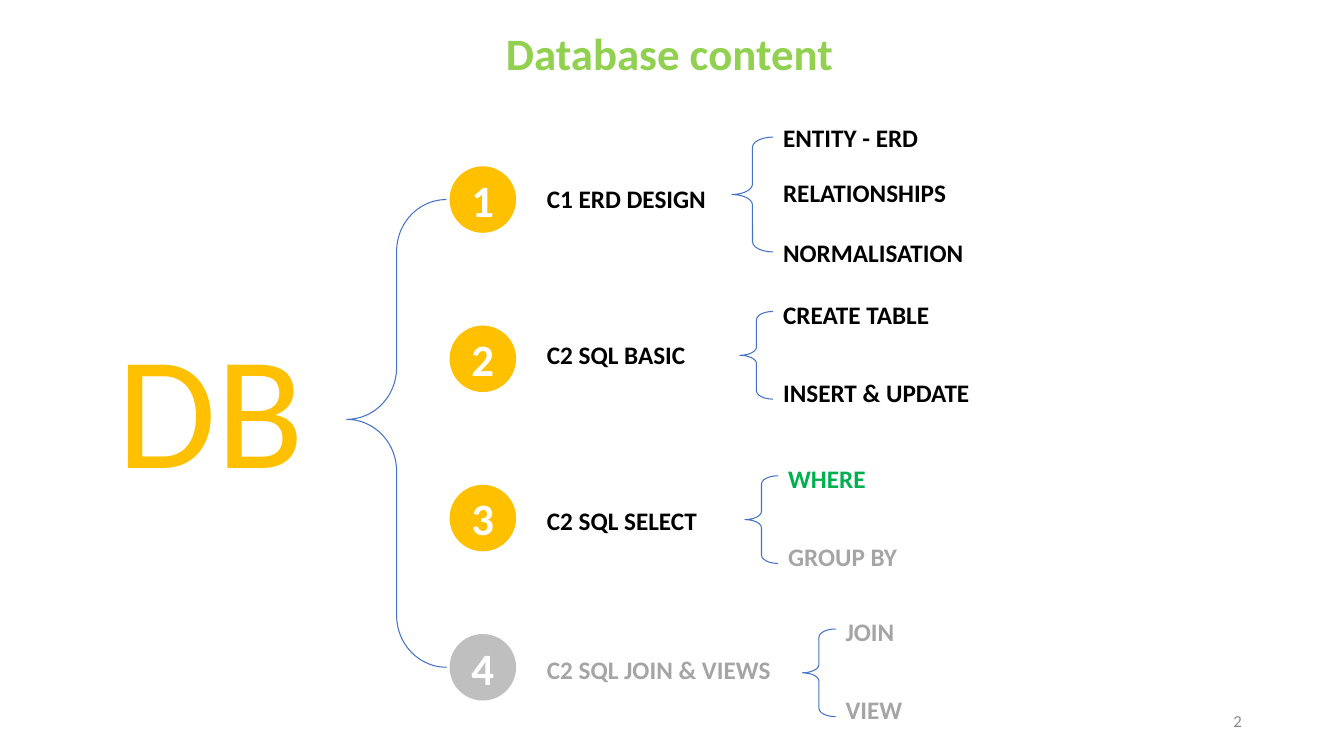
from pptx import Presentation
from pptx.dml.color import RGBColor
from pptx.enum.shapes import MSO_SHAPE
from pptx.enum.text import MSO_ANCHOR, MSO_AUTO_SIZE, PP_ALIGN
from pptx.util import Inches, Pt

WIDTH, HEIGHT = Inches(13.33), Inches(7.5)
COL, ROW = WIDTH / 40, HEIGHT / 30
FONT = "Calibri"
GOLD = RGBColor(0xFF, 0xC0, 0x00)
LIME = RGBColor(0x92, 0xD0, 0x50)
GREEN = RGBColor(0x00, 0xB0, 0x50)
BLUE = RGBColor(0x44, 0x72, 0xC4)
BLACK = RGBColor(0x00, 0x00, 0x00)
WHITE = RGBColor(0xFF, 0xFF, 0xFF)
GREY = RGBColor(0xA5, 0xA5, 0xA5)
SILVER = RGBColor(0xBF, 0xBF, 0xBF)
DIM = RGBColor(0x88, 0x88, 0x88)

BADGE_LEFT = 13.38
BADGE_W, BADGE_H = 1.98, 2.64
LABEL_H = 1.6
TRIO = (1.23, 4.56, (-0.8, 1.4, 3.8))
PAIR = (0.99, 3.48, (-0.68, 2.4))

CHAPTERS = [
    (6.6, GOLD, "C1 ERD DESIGN", BLACK, 0.48, 23.01, 5.44, TRIO,
     [("ENTITY - ERD", BLACK), ("RELATIONSHIPS", BLACK), ("NORMALISATION", BLACK)]),
    (12.92, GOLD, "C2 SQL BASIC", BLACK, 0.36, 23.01, 12.36, PAIR,
     [("CREATE TABLE", BLACK), ("INSERT & UPDATE", BLACK)]),
    (19.24, GOLD, "C2 SQL SELECT", BLACK, 0.6, 23.16, 18.88, PAIR,
     [("WHERE", GREEN), ("GROUP BY", GREY)]),
    (25.16, SILVER, "C2 SQL JOIN & VIEWS", GREY, 0.6, 24.87, 24.96, PAIR,
     [("JOIN", GREY), ("VIEW", GREY)]),
]


def grid(left, top, width, height):
    return int(left * COL), int(top * ROW), int(width * COL), int(height * ROW)


def write(sp, text, size, color, bold=True, align=PP_ALIGN.LEFT, anchor=MSO_ANCHOR.TOP):
    tf = sp.text_frame
    tf.word_wrap = True
    tf.vertical_anchor = anchor
    p = tf.paragraphs[0]
    p.alignment = align
    r = p.add_run()
    r.text = text
    r.font.name = FONT
    r.font.size = Pt(size)
    r.font.bold = bold
    r.font.color.rgb = color
    return tf


def add_label(s, box, text, size, color, bold=True):
    sp = s.shapes.add_textbox(*grid(*box))
    tf = write(sp, text, size, color, bold)
    tf.auto_size = MSO_AUTO_SIZE.SHAPE_TO_FIT_TEXT


def add_brace(s, box, curve, point=0.5):
    sp = s.shapes.add_shape(MSO_SHAPE.LEFT_BRACE, *grid(*box))
    sp.shadow.inherit = False
    sp.adjustments[0] = curve
    sp.adjustments[1] = point
    sp.fill.background()
    sp.line.color.rgb = BLUE
    sp.line.width = Pt(0.75)


def add_badge(s, box, number, color):
    sp = s.shapes.add_shape(MSO_SHAPE.OVAL, *grid(*box))
    sp.shadow.inherit = False
    sp.fill.solid()
    sp.fill.fore_color.rgb = color
    sp.line.fill.background()
    write(sp, str(number), 32, WHITE, align=PP_ALIGN.CENTER, anchor=MSO_ANCHOR.MIDDLE)


def add_topics(s, left, top, layout, topics):
    width, height, offsets = layout
    add_brace(s, (left - width, top, width, height), 0.25)
    for offset, (text, color) in zip(offsets, topics):
        add_label(s, (left, top + offset, 6.78, LABEL_H), text, 18, color)


def add_chapter(s, number, chapter):
    top, fill, name, color, drop, topic_left, topic_top, layout, topics = chapter
    add_badge(s, (BADGE_LEFT, top, BADGE_W, BADGE_H), number, fill)
    add_label(s, (BADGE_LEFT + 2.6, top + drop, 8.5, LABEL_H), name, 18, color)
    add_topics(s, topic_left, topic_top, layout, topics)


def add_root(s, left, top, width, height):
    add_label(s, (left, top + 4.08, 7.11, 8.16), "DB", 115, GOLD, bold=False)
    add_brace(s, (left + 7.11, top, width - 7.11, height), 0.52, 0.47)


def add_page_number(s, box, number):
    sp = s.shapes.add_textbox(*grid(*box))
    write(sp, str(number), 12, DIM, bold=False,
          align=PP_ALIGN.RIGHT, anchor=MSO_ANCHOR.MIDDLE)


def main():
    prs = Presentation()
    prs.slide_width, prs.slide_height = WIDTH, HEIGHT
    s = prs.slides.add_slide(prs.slide_layouts[6])
    add_label(s, (14.76, 0.84, 11.67, 2.56), "Database content", 32, LIME)
    add_root(s, 3.21, 7.92, 10.08, 18.56)
    for number, chapter in enumerate(CHAPTERS, 1):
        add_chapter(s, number, chapter)
    add_page_number(s, (28.26, 27.8, 9, 1.6), 2)
    prs.save("out.pptx")


if __name__ == "__main__":
    main()
